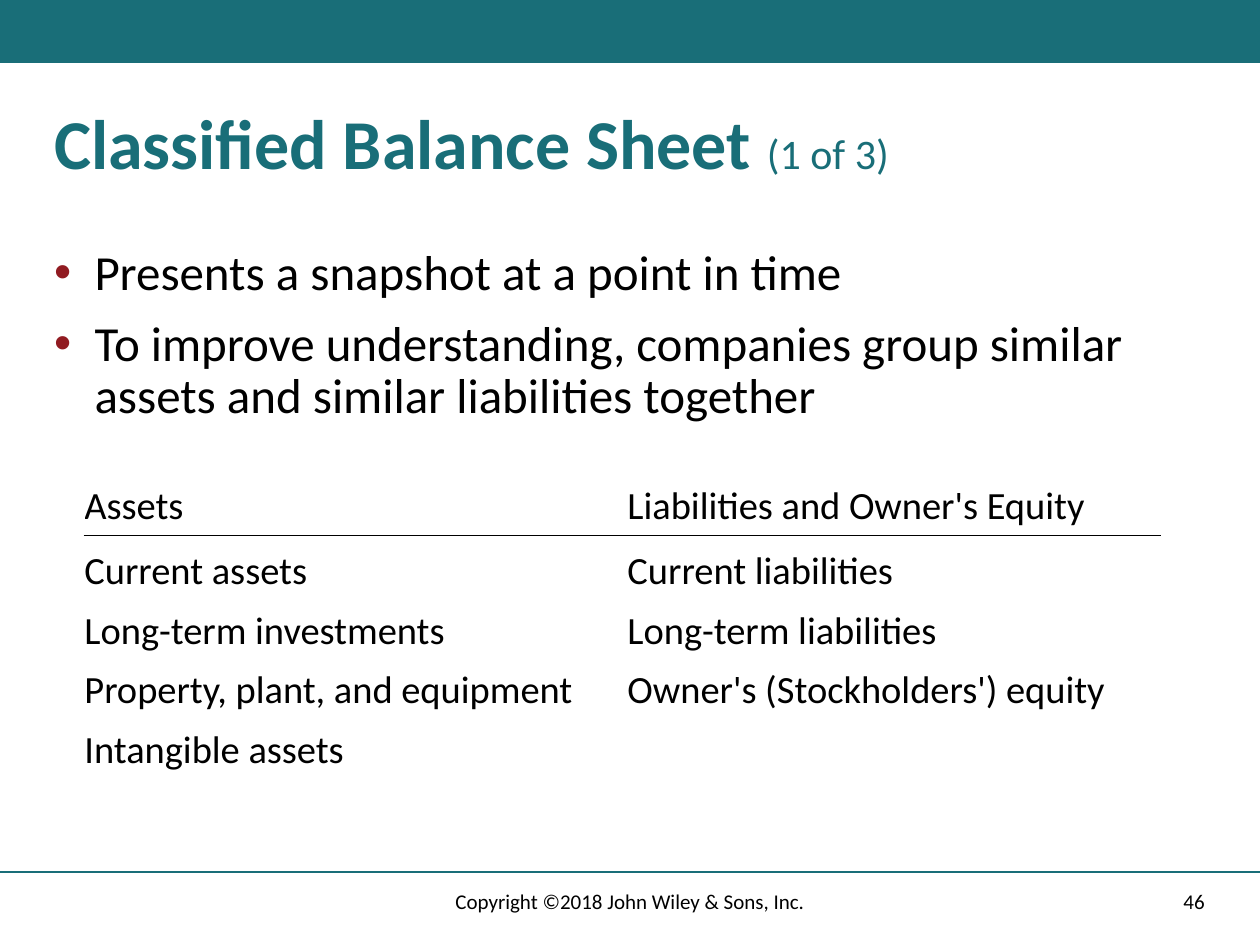
from lxml.etree import SubElement
from pptx import Presentation
from pptx.dml.color import RGBColor
from pptx.enum.shapes import MSO_CONNECTOR, MSO_SHAPE
from pptx.enum.text import MSO_ANCHOR, MSO_AUTO_SIZE, PP_ALIGN
from pptx.oxml import parse_xml
from pptx.oxml.ns import nsdecls, qn
from pptx.util import Inches, Pt

COLORS = {"teal": "196E78", "red": "911B21", "black": "000000", "white": "FFFFFF"}
FONT = "Calibri"

BULLETS = [
    "Presents a snapshot at a point in time",
    "To improve understanding, companies group similar assets and similar liabilities together",
]
ROWS = [
    ("Assets", "Liabilities and Owner's Equity"),
    ("Current assets", "Current liabilities"),
    ("Long-term investments", "Long-term liabilities"),
    ("Property, plant, and equipment", "Owner's (Stockholders') equity"),
    ("Intangible assets", ""),
]


def color(name):
    return RGBColor.from_string(COLORS[name])


def inches(box):
    return [Inches(value) for value in box]


def add_text(paragraph, text, size=12, ink="black", bold=False, align=PP_ALIGN.LEFT):
    paragraph.alignment = align
    run = paragraph.add_run()
    run.text = text
    run.font.name = FONT
    run.font.size = Pt(size)
    run.font.bold = bold
    run.font.color.rgb = color(ink)


def place(shape, box):
    shape.left, shape.top, shape.width, shape.height = inches(box)
    shape.text_frame.auto_size = MSO_AUTO_SIZE.NONE
    shape.text_frame.word_wrap = True


def add_bullet(paragraph):
    properties = paragraph._p.get_or_add_pPr()
    properties.set("marL", str(Inches(0.32)))
    properties.set("indent", str(-Inches(0.32)))
    bullet_color = SubElement(properties, qn("a:buClr"))
    SubElement(bullet_color, qn("a:srgbClr"), val=COLORS["red"])
    SubElement(properties, qn("a:buFont"), typeface="Arial")
    SubElement(properties, qn("a:buChar"), char="•")


def set_borders(cell, **sides):
    properties = cell._tc.get_or_add_tcPr()
    for index, side in enumerate("LRTB"):
        ink = COLORS[sides.get(side, "white")]
        properties.insert(index, parse_xml(
            f'<a:ln{side} {nsdecls("a")} w="12700"><a:solidFill>'
            f'<a:srgbClr val="{ink}"/></a:solidFill></a:ln{side}>'))


def draw_band(slide, box):
    band = slide.shapes.add_shape(MSO_SHAPE.RECTANGLE, *inches(box))
    band.shadow.inherit = False
    band.fill.solid()
    band.fill.fore_color.rgb = color("teal")
    band.line.fill.background()


def draw_title(slide, box):
    title = slide.shapes.title
    place(title, box)
    title.text_frame.vertical_anchor = MSO_ANCHOR.MIDDLE
    paragraph = title.text_frame.paragraphs[0]
    paragraph.line_spacing = 0.9
    add_text(paragraph, "Classified Balance Sheet ", size=40, ink="teal", bold=True)
    add_text(paragraph, "(1 of 3)", size=24, ink="teal")


def draw_bullets(slide, box):
    body = slide.placeholders[1]
    place(body, box)
    frame = body.text_frame
    for index, text in enumerate(BULLETS):
        paragraph = frame.add_paragraph() if index else frame.paragraphs[0]
        paragraph.level = 1
        add_bullet(paragraph)
        paragraph.line_spacing = 0.9
        paragraph.space_before = Pt(10 if index else 0)
        add_text(paragraph, text, size=28)


def draw_table(slide, box):
    table = slide.shapes.add_table(len(ROWS), 2, *inches(box)).table
    table.first_row = table.horz_banding = False
    for column, width in zip(table.columns, (4.31, 4.23)):
        column.width = Inches(width)
    for r, texts in enumerate(ROWS):
        table.rows[r].height = Inches(0.34 if r else 0.31)
        for c, text in enumerate(texts):
            cell = table.cell(r, c)
            cell.fill.background()
            cell.vertical_anchor = MSO_ANCHOR.BOTTOM
            cell.margin_left = cell.margin_right = 0
            cell.margin_top = Inches(0.1 if r else 0)
            cell.margin_bottom = Inches(0 if r else 0.05)
            # The rule under the heading row is shared by the first two rows
            set_borders(cell, **({0: {"B": "black"}, 1: {"T": "black"}}.get(r, {})))
            if text:
                add_text(cell.text_frame.paragraphs[0], text, size=22)


def draw_footer(slide, box):
    left, top, width, _ = box
    rule = slide.shapes.add_connector(
        MSO_CONNECTOR.STRAIGHT, *inches((left, top, left + width, top)))
    rule.line.color.rgb = color("teal")
    rule.line.width = Pt(1)
    SubElement(rule._element.spPr, qn("a:effectLst"))
    for text, x, label_width, align in (
        ("46", 7.06, 2.6, PP_ALIGN.RIGHT),
        ("Copyright ©2018 John Wiley & Sons, Inc.", 3.31, 3.38, PP_ALIGN.CENTER),
    ):
        label_box = (left + x, top + 0.03, label_width, 0.4)
        label = slide.shapes.add_textbox(*inches(label_box))
        place(label, label_box)
        label.text_frame.vertical_anchor = MSO_ANCHOR.MIDDLE
        add_text(label.text_frame.paragraphs[0], text, align=align)


def main():
    presentation = Presentation()
    presentation.slide_width, presentation.slide_height = Inches(10), Inches(7.5)
    slide = presentation.slides.add_slide(presentation.slide_layouts[1])
    draw_band(slide, (0, 0, 10, 0.5))
    draw_title(slide, (0.33, 0.83, 9.33, 0.67))
    draw_bullets(slide, (0.33, 1.92, 9.33, 1.5))
    draw_table(slide, (0.67, 3.83, 8.54, 2.29))
    draw_footer(slide, (0, 6.92, 10, 0.58))
    presentation.save("out.pptx")


if __name__ == "__main__":
    main()
